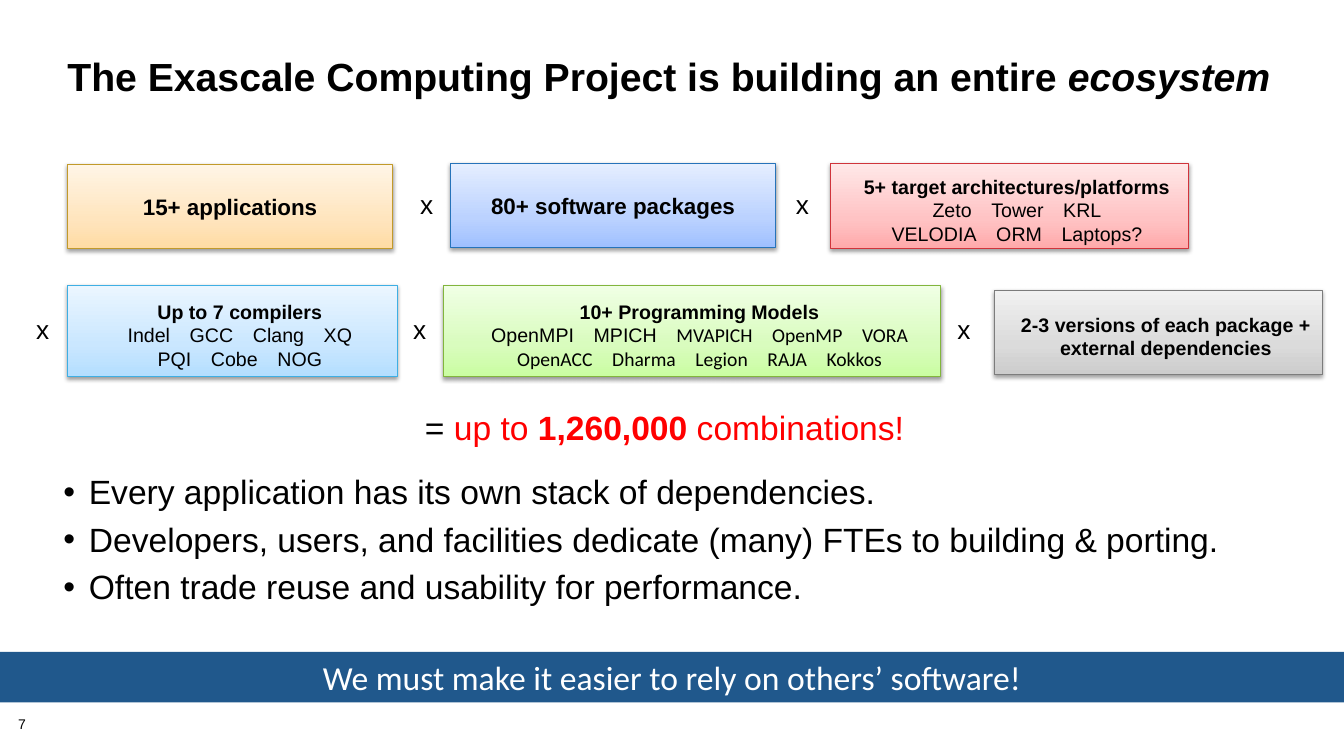
from copy import deepcopy

from lxml.etree import SubElement
from pptx import Presentation
from pptx.dml.color import RGBColor
from pptx.enum.shapes import MSO_SHAPE
from pptx.enum.text import MSO_ANCHOR, PP_ALIGN
from pptx.oxml.ns import qn
from pptx.util import Cm, Pt

BLACK = RGBColor(0x00, 0x00, 0x00)
WHITE = RGBColor(0xFF, 0xFF, 0xFF)
RED = RGBColor(0xFF, 0x00, 0x00)
NAVY = RGBColor(0x20, 0x58, 0x8C)

# Each theme: line colour, then the gradient from bottom to top
GOLD = [RGBColor(0xC2, 0x9A, 0x2A), RGBColor(0xFF, 0xDB, 0xA3),
        RGBColor(0xFF, 0xE5, 0xBE), RGBColor(0xFF, 0xF5, 0xE6)]
BLUE = [RGBColor(0x26, 0x73, 0xBA), RGBColor(0x9F, 0xC0, 0xFF),
        RGBColor(0xBB, 0xD2, 0xFF), RGBColor(0xE5, 0xEE, 0xFF)]
ROSE = [RGBColor(0xD0, 0x34, 0x3B), RGBColor(0xFF, 0xAA, 0xAB),
        RGBColor(0xFF, 0xC3, 0xC4), RGBColor(0xFF, 0xE8, 0xE8)]
SKY = [RGBColor(0x3E, 0xAF, 0xE4), RGBColor(0xB4, 0xDE, 0xFF),
       RGBColor(0xCA, 0xE7, 0xFF), RGBColor(0xEB, 0xF6, 0xFF)]
GREEN = [RGBColor(0x82, 0xB5, 0x3D), RGBColor(0xCA, 0xFD, 0xA2),
         RGBColor(0xD9, 0xFC, 0xBE), RGBColor(0xF0, 0xFF, 0xE5)]
GREY = [RGBColor(0x7C, 0x7C, 0x7C), RGBColor(0xCC, 0xCC, 0xCC),
        RGBColor(0xDB, 0xDB, 0xDB), RGBColor(0xF1, 0xF1, 0xF1)]

STOPS = (0, 0.35, 1)
SANS, LIGHT = "Arial", "Calibri"
BOLD = {"bold": True}
GAP = (" ", {"gap": 10})  # a space widened by 10 points


def names(*words, **look):
    """Return the runs of a row of words set apart by wide gaps."""
    runs = []
    for word in words:
        runs += [GAP, (word, look)]
    return runs[1:]


class Deck:
    def __init__(self):
        self.prs = Presentation()
        self.prs.slide_width = Cm(33.87)
        self.prs.slide_height = Cm(19.05)
        self.slide = self.prs.slides.add_slide(self.prs.slide_layouts[6])

    def style(self, par, size, name=SANS, color=BLACK, bold=None):
        font = par.font
        font.size, font.name, font.bold = Pt(size), name, bold
        font.color.rgb = color

    def fill_in(self, par, lines):
        """Write lines of (text, font settings) pairs, with breaks between."""
        for num, line in enumerate(lines):
            if num:
                par.add_line_break()
            for text, look in line:
                run = par.add_run()
                run.text = text
                for key, value in look.items():
                    if key == "color":
                        run.font.color.rgb = value
                    elif key == "gap":
                        run._r.get_or_add_rPr().set("spc", str(value * 100))
                    else:
                        setattr(run.font, key, value)

    def inset(self, frame, *sides):
        keys = ("margin_left", "margin_top", "margin_right", "margin_bottom")
        for key, side in zip(keys, sides):
            setattr(frame, key, Cm(side))

    def text(self, area, lines, size, sides=(0.25, 0.13, 0.25, 0.13),
             wrap=True, anchor=MSO_ANCHOR.TOP, space=1, bold=None):
        box = self.slide.shapes.add_textbox(*map(Cm, area))
        frame = box.text_frame
        frame.word_wrap, frame.vertical_anchor = wrap, anchor
        self.inset(frame, *sides)
        par = frame.paragraphs[0]
        par.line_spacing = space
        self.style(par, size, bold=bold)
        self.fill_in(par, lines)

    def times(self, left, top):
        self.text((left, top, 0.84, 1.07), [[("x", {})]], 18.7, wrap=False)

    def bullets(self, area, items, size):
        box = self.slide.shapes.add_textbox(*map(Cm, area))
        frame = box.text_frame
        frame.word_wrap = True
        self.inset(frame, 0, 0.13, 0.25, 0)
        for num, item in enumerate(items):
            par = frame.add_paragraph() if num else frame.paragraphs[0]
            par.line_spacing = 0.9
            if num:
                par.space_before = Pt(8)
            props = par._p.get_or_add_pPr()
            props.set("marL", str(Cm(0.64)))
            props.set("indent", str(Cm(-0.64)))
            SubElement(props, qn("a:buFont"), typeface=SANS)
            SubElement(props, qn("a:buChar"), char="•")
            self.style(par, size)
            par.add_run().text = item

    def rect(self, area, anchor):
        shape = self.slide.shapes.add_shape(MSO_SHAPE.RECTANGLE, *map(Cm, area))
        shape.shadow.inherit = False
        frame = shape.text_frame
        frame.word_wrap, frame.vertical_anchor = True, anchor
        frame.paragraphs[0].alignment = PP_ALIGN.CENTER
        return shape

    def shade(self, shape):
        effects = shape._element.spPr.find(qn("a:effectLst"))
        outer = SubElement(effects, qn("a:outerShdw"), blurRad=str(Pt(3.1)),
                           dist=str(Pt(1.6)), dir="5400000", rotWithShape="0")
        color = SubElement(outer, qn("a:srgbClr"), val=str(BLACK))
        SubElement(color, qn("a:alpha"), val="38000")

    def card(self, area, theme, lines, size=14):
        shape = self.rect(area, MSO_ANCHOR.MIDDLE)
        edge, *tints = theme
        shape.line.color.rgb = edge
        shape.line.width = Pt(0.75)
        fill = shape.fill
        fill.gradient()
        fill.gradient_angle = 90
        ramp = shape._element.spPr.find(".//" + qn("a:gsLst"))
        ramp.insert(1, deepcopy(ramp[0]))
        for stop, tint, place in zip(fill.gradient_stops, tints, STOPS):
            stop.color.rgb, stop.position = tint, place
        self.shade(shape)
        par = shape.text_frame.paragraphs[0]
        if size == 14:
            self.inset(shape.text_frame, 0.2, 0.33, 0.25, 0.13)
            par._p.get_or_add_pPr().set("marL", str(Cm(0.43)))
            par._p.get_or_add_pPr().set("indent", "0")
        self.style(par, size)
        self.fill_in(par, lines)

    def banner(self, area, text):
        shape = self.rect(area, MSO_ANCHOR.BOTTOM)
        shape.fill.solid()
        shape.fill.fore_color.rgb = NAVY
        shape.line.fill.background()
        par = shape.text_frame.paragraphs[0]
        self.style(par, 24, LIGHT, WHITE)
        par.add_run().text = text


def main():
    deck = Deck()
    deck.text((0.46, 18.08, 1.42, 0.41), [[("7", {})]], 10, (0, 0, 0, 0), space=0.9)
    deck.text((1.7, 0.61, 30.94, 2.79),
              [[("The Exascale Computing Project is building an entire ", {}),
                ("ecosystem", {"italic": True})]],
              28, (0, 0.13, 0.13, 0.13), anchor=MSO_ANCHOR.MIDDLE, space=0.85, bold=True)

    deck.card((1.7, 4.14, 8.2, 2.13), GOLD, [[("15+ applications", BOLD)]], 16)
    deck.card((11.35, 4.11, 8.2, 2.13), BLUE, [[("80+ software packages", BOLD)]], 16)
    deck.card((20.93, 4.11, 9.02, 2.16), ROSE, [
        [("5+ target architectures/platforms", BOLD)],
        names("Zeto", "Tower", "KRL"),
        names("VELODIA", "ORM", "Laptops?")])
    deck.card((1.7, 7.19, 8.31, 2.29), SKY, [
        [("Up to 7 compilers", BOLD)],
        names("Indel", "GCC", "Clang", "XQ"),
        names("PQI", "Cobe", "NOG")])
    deck.card((11.18, 7.19, 12.52, 2.29), GREEN, [
        [("10+ Programming Models", BOLD)],
        [*names("OpenMPI", "MPICH"), GAP,
         *names("MVAPICH", "OpenMP", "VORA", name=LIGHT)],
        names("OpenACC", "Dharma", "Legion", "RAJA", "Kokkos", name=LIGHT)])
    deck.card((25.07, 7.32, 8.25, 2.11), GREY,
              [[("2-3 versions of each package + external dependencies", BOLD)]])

    for top, lefts in ((4.62, (10.34, 19.81)), (7.77, (0.66, 10.16, 23.88))):
        for left in lefts:
            deck.times(left, top)

    deck.text((10.46, 10.13, 13.23, 1.27),
              [[("= ", {}), ("up to ", {"color": RED}),
                ("1,260,000", {"color": RED, "bold": True}),
                (" combinations!", {"color": RED})]], 24)
    deck.bullets((1.6, 11.86, 31.65, 3.71), [
        "Every application has its own stack of dependencies.",
        "Developers, users, and facilities dedicate (many) FTEs to building & porting.",
        "Often trade reuse and usability for performance."], 24)
    deck.banner((0, 16.43, 33.87, 1.27),
                "We must make it easier to rely on others’ software!")
    deck.prs.save("out.pptx")


if __name__ == "__main__":
    main()
